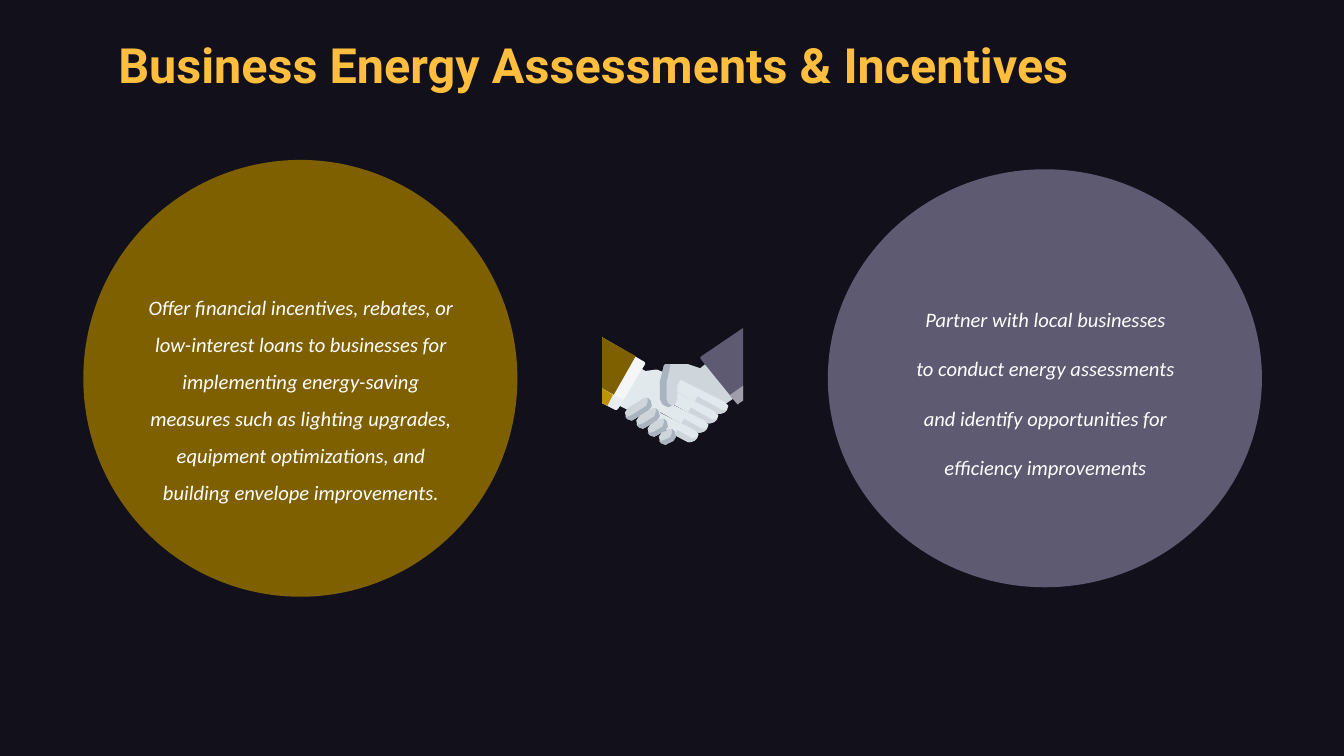
import pptx
import pptx.dml.color
import pptx.enum.shapes
import pptx.enum.text
import pptx.util

RGB = pptx.dml.color.RGBColor
ALIGN = pptx.enum.text.PP_ALIGN
ANCHOR = pptx.enum.text.MSO_ANCHOR

NIGHT = RGB(0x11, 0x10, 0x1B)
AMBER = RGB(0xFF, 0xBE, 0x3E)
WHITE = RGB(0xFF, 0xFF, 0xFF)
OLIVE = RGB(0x7F, 0x60, 0x00)
GOLD = RGB(0xBF, 0x90, 0x00)
SLATE = RGB(0x5E, 0x5A, 0x72)
MAUVE = RGB(0x9F, 0x9D, 0xAA)
PALE = RGB(0xE2, 0xE9, 0xED)
MIST = RGB(0xCE, 0xD6, 0xDC)
STEEL = RGB(0xA9, 0xB4, 0xBF)
CUFF = RGB(0xF4, 0xF6, 0xF8)
FOLD = RGB(0xE8, 0xED, 0xF1)

PX = 9144  # 100 px to the inch
WIDTH = 1000


def emu(px):
    return pptx.util.Emu(round(px * PX))


def shift(base, points):
    return [(base[0] + x, base[1] + y) for x, y in points]


class Deck:
    def __init__(self):
        self.prs = pptx.Presentation()
        self.prs.slide_width = emu(WIDTH)
        self.prs.slide_height = emu(WIDTH * 9 / 16)
        self.slide = self.prs.slides.add_slide(self.prs.slide_layouts[5])
        fill = self.slide.background.fill
        fill.solid()
        fill.fore_color.rgb = NIGHT

    def paint(self, shape, color):
        shape.shadow.inherit = False
        shape.fill.solid()
        shape.fill.fore_color.rgb = color
        shape.line.fill.background()

    def label(self, frame, text, font, size, color, align, anchor):
        """Fill a frame with one paragraph and return that paragraph."""
        frame.text = text
        frame.word_wrap = True
        frame.auto_size = pptx.enum.text.MSO_AUTO_SIZE.NONE
        frame.vertical_anchor = anchor
        frame.margin_left = frame.margin_right = emu(10)
        frame.margin_top = frame.margin_bottom = emu(10)
        para = frame.paragraphs[0]
        para.alignment = align
        para.font.name = font
        para.font.size = pptx.util.Pt(size)
        para.font.color.rgb = color
        return para

    def title(self, text, x, y, w, h):
        shape = self.slide.shapes.title
        shape.left, shape.top, shape.width, shape.height = map(emu, (x, y, w, h))
        para = self.label(shape.text_frame, text, "Roboto", 26, AMBER,
                          ALIGN.LEFT, ANCHOR.TOP)
        para.font.bold = True

    def disc(self, color, x, y, w, h):
        kind = pptx.enum.shapes.MSO_SHAPE.OVAL
        self.paint(self.slide.shapes.add_shape(kind, *map(emu, (x, y, w, h))), color)

    def note(self, text, x, y, w, h, space, lift=0):
        """Add centred text; lift widens the bottom margin to raise it."""
        frame = self.slide.shapes.add_textbox(*map(emu, (x, y, w, h))).text_frame
        para = self.label(frame, text, "Calibri", 11, WHITE,
                          ALIGN.CENTER, ANCHOR.MIDDLE)
        para.font.italic = True
        para.line_spacing = space
        frame.margin_bottom = emu(10 + lift)

    def icon(self, parts):
        """Group filled outlines, each given as a colour and its points."""
        group = self.slide.shapes.add_group_shape()
        for color, points in parts:
            spots = [(emu(x), emu(y)) for x, y in points]
            pen = group.shapes.build_freeform(*spots[0])
            pen.add_line_segments(spots[1:], close=True)
            self.paint(pen.convert_to_shape(), color)


RIGHT_ARM = [
    (MIST, [(531, 266), (521, 274), (512, 271), (497, 283), (520, 314), (551, 293)]),
    (SLATE, [(553, 244), (522, 265), (521, 266), (522, 268), (548, 300),
             (549, 301), (550, 300), (553, 298)]),
    (MAUVE, [(553, 287), (543, 294), (548, 300), (549, 301), (550, 300), (553, 298)]),
]
LEFT_ARM = [
    (PALE, [(469, 269), (453, 298), (487, 315), (505, 282), (489, 275), (488, 275),
            (481, 276), (480, 276)]),
    (CUFF, [(448, 251), (448, 300), (458, 305), (459, 305), (460, 304), (480, 271),
            (480, 270), (479, 269)]),
    (OLIVE, [(448, 251), (448, 300), (452, 302), (473, 265)]),
    (FOLD, [(448, 289), (448, 300), (458, 305), (459, 305), (460, 304), (464, 298)]),
    (GOLD, [(448, 289), (448, 300), (452, 302), (456, 294)]),
]
THUMB = [
    (MIST, [(495, 271), (494, 272), (491, 284), (491, 297), (493, 301), (497, 303),
            (502, 301), (504, 297), (504, 287), (512, 271)]),
    (STEEL, [(495, 271), (494, 272), (491, 284), (491, 297), (493, 301), (497, 303),
             (500, 302), (497, 300), (496, 297), (496, 284), (499, 271)]),
]


def long_finger(i):
    """Finger i of the left hand, with the shade along its lower edge."""
    root = (505 - 7.4 * i, 282 + 7 * i)
    edge = (519 - 5 * i, 295 + 8.3 * i)
    tip = [(29, 26), (31, 26), (34, 25), (36, 23)]
    return [
        (PALE, shift(root, [(0, 0), (-4, 8)] + tip + [(37, 20), (34, 17)])),
        (MIST, shift(edge, [(0, 0), (-2, 4)])
         + shift(root, tip + [(34, 23), (32, 23)])),
    ]


def short_finger(i):
    """Finger i of the right hand, with the shade along its lower edge."""
    back = (480 + 6 * i, 296 + 7.7 * i)
    tip = (467 + 8.4 * i, 304 + 6 * i)
    low = shift(tip, [(0, 8), (3, 9), (5, 8)])
    end = shift(back, [(3, 9), (5, 6), (4, 2), (2, 0)])
    return [
        (MIST, shift(back, [(0, 0), (-2, 1)])
         + shift(tip, [(0, 0), (-2, 3), (-1, 7)]) + low + end),
        (STEEL, shift(back, [(2, 3), (1, 6)])
         + shift(tip, [(3, 5), (0, 6), (-2, 6)]) + low + end),
    ]


def main():
    deck = Deck()
    deck.title("Business Energy Assessments & Incentives", 78, 16, 843, 66)
    deck.disc(OLIVE, 62, 119, 323, 325)
    deck.disc(SLATE, 616, 126, 323, 311)
    deck.note("Offer financial incentives, rebates, or low-interest loans to "
              "businesses for implementing energy-saving measures such as lighting "
              "upgrades, equipment optimizations, and building envelope "
              "improvements.", 100, 176, 248, 234, 1.5)
    deck.note("Partner with local businesses to conduct energy assessments and "
              "identify opportunities for efficiency improvements",
              671, 194, 214, 216, 2.0, lift=37)
    long = [part for i in range(4) for part in long_finger(i)]
    short = [part for i in range(4) for part in short_finger(i)]
    deck.icon(RIGHT_ARM + long + LEFT_ARM + short + THUMB)
    deck.prs.save("out.pptx")


if __name__ == "__main__":
    main()
